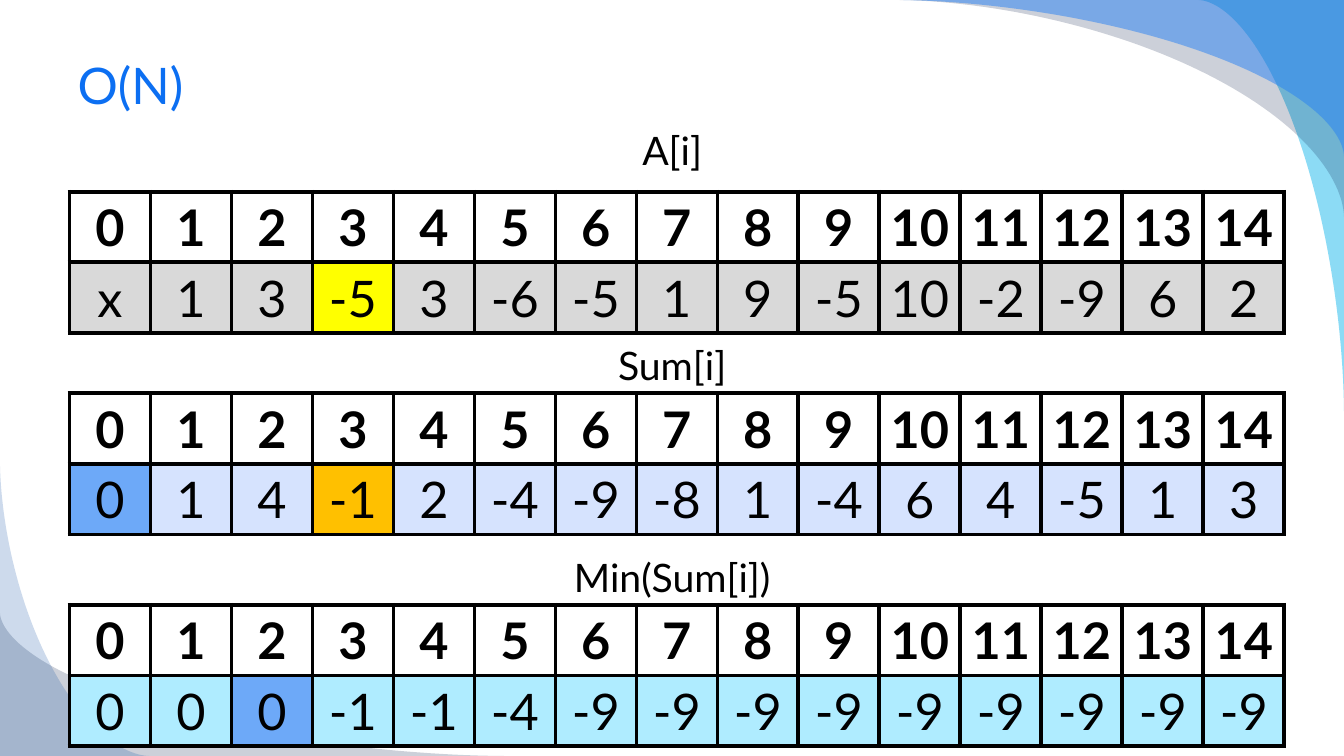
from dataclasses import dataclass
from itertools import accumulate
from math import cos, pi, sin

from lxml import etree
from pptx import Presentation
from pptx.dml.color import RGBColor
from pptx.enum.text import MSO_ANCHOR, MSO_AUTO_SIZE, PP_ALIGN
from pptx.oxml.ns import qn
from pptx.util import Cm, Pt

TOP, MIDDLE = MSO_ANCHOR.TOP, MSO_ANCHOR.MIDDLE
LEFT, CENTER = PP_ALIGN.LEFT, PP_ALIGN.CENTER
NO_FIT = MSO_AUTO_SIZE.NONE


@dataclass(frozen=True)
class Theme:
    font: str = "Lato"
    title_size: int = 36
    caption_size: int = 28
    cell_size: int = 36
    border: int = 3
    title: str = "0C6FF2"
    ink: str = "000000"
    paper: str = "FFFFFF"
    grey: str = "D9D9D9"
    lavender: str = "D6E3FE"
    aqua: str = "AFECFF"
    yellow: str = "FFFF00"
    orange: str = "FFC000"
    blue: str = "6DA9F8"
    navy: str = "021741"
    cyan: str = "00B1E9"
    bright: str = "247FF4"
    deep: str = "084AA1"


THEME = Theme()
WIDTH, HEIGHT = 33.87, 19.05
MARGIN, TEXT_WIDTH = 1.7, 30.48
CAPTION_HEIGHT = 1.42
TABLE_LEFT, TABLE_WIDTH, ROW_HEIGHT = 1.75, 30.63, 1.78
CURVE_POWER, CURVE_STEPS = 1.77, 60

VALUES = [1, 3, -5, 3, -6, -5, 1, 9, -5, 10, -2, -9, 6, 2]
SUMS = list(accumulate(VALUES, initial=0))
MINIMA = list(accumulate(SUMS, min))

PANELS = [
    ("A[i]", 3.05, 4.83, ["x", *VALUES], THEME.grey, {3: THEME.yellow}),
    ("Sum[i]", 8.48, 9.91, SUMS, THEME.lavender, {0: THEME.blue, 3: THEME.orange}),
    ("Min(Sum[i])", 13.82, 15.24, MINIMA, THEME.aqua, {2: THEME.blue}),
]

SWOOSHES = [
    ((WIDTH, 10.36), (WIDTH, 0), (30.2, 0), THEME.cyan, 45),
    ((22.58, 0), (WIDTH, 0), (WIDTH, 5.46), THEME.navy, 20),
    ((22.58, 0), (WIDTH, 0), (WIDTH, 3.94), THEME.bright, 49),
    ((12.7, HEIGHT), (0, HEIGHT), (0, 15.44), THEME.navy, 20),
    ((0, 11.63), (0, HEIGHT), (3.76, HEIGHT), THEME.deep, 20),
]


def apply(target, formats):
    for name, value in formats.items():
        setattr(target, name, value)


def place(shape, box):
    names = ("left", "top", "width", "height")
    apply(shape, {name: Cm(length) for name, length in zip(names, box)})


def write(frame, text, size, color, align, bold=False):
    para = frame.paragraphs[0]
    apply(para, {"alignment": align, "space_before": Pt(0)})
    span = para.add_run()
    span.text = text
    apply(span.font, {"name": THEME.font, "size": Pt(size), "bold": bold})
    span.font.color.rgb = RGBColor.from_string(color)
    return para


def add_swoosh(page, start, corner, end, color, opacity):
    def curve_point(angle):
        along = sin(angle) ** (2 / CURVE_POWER)
        across = 1 - max(cos(angle), 0) ** (2 / CURVE_POWER)
        return tuple(
            Cm(s + along * (c - s) + across * (e - c))
            for s, c, e in zip(start, corner, end)
        )

    steps = range(CURVE_STEPS, 0, -1)
    curve = [curve_point(pi / 2 * step / CURVE_STEPS) for step in steps]
    builder = page.shapes.build_freeform(Cm(start[0]), Cm(start[1]))
    builder.add_line_segments([tuple(map(Cm, corner)), *curve], close=True)
    shape = builder.convert_to_shape()
    shape.shadow.inherit = False
    shape.line.fill.background()
    shape.fill.solid()
    shape.fill.fore_color.rgb = RGBColor.from_string(color)
    tint = shape.element.spPr.find(qn("a:solidFill")).find(qn("a:srgbClr"))
    etree.SubElement(tint, qn("a:alpha"), val=str(opacity * 1000))


def fill_title(title, box):
    place(title, box)
    apply(title.text_frame, {"vertical_anchor": MIDDLE, "auto_size": NO_FIT})
    write(title.text_frame, "O(N)", THEME.title_size, THEME.title, LEFT)


def fill_caption(shape, text, box):
    place(shape, box)
    frame = shape.text_frame
    apply(frame, {"word_wrap": True, "vertical_anchor": TOP, "auto_size": NO_FIT})
    para = write(frame, text, THEME.caption_size, THEME.ink, CENTER)
    properties = para._p.get_or_add_pPr()
    properties.set("marL", "0")
    properties.set("indent", "0")
    etree.SubElement(properties, qn("a:buNone"))


def add_borders(cell):
    properties = cell._tc.get_or_add_tcPr()
    for position, side in enumerate(("lnL", "lnR", "lnT", "lnB")):
        line = etree.Element(qn(f"a:{side}"), w=str(Pt(THEME.border)))
        fill = etree.SubElement(line, qn("a:solidFill"))
        etree.SubElement(fill, qn("a:srgbClr"), val=THEME.ink)
        properties.insert(position, line)


def fill_cell(cell, text, color, bold):
    cell.vertical_anchor = MIDDLE
    cell.fill.solid()
    cell.fill.fore_color.rgb = RGBColor.from_string(color)
    write(cell.text_frame, text, THEME.cell_size, THEME.ink, CENTER, bold)
    add_borders(cell)


def add_array(page, values, color, marks, box):
    frame = page.shapes.add_table(2, len(values), *map(Cm, box))
    table = frame.table
    apply(table, {"first_row": False, "horz_banding": False})
    for column in table.columns:
        column.width = Cm(box[2] / len(values))
    for row in table.rows:
        row.height = Cm(box[3] / 2)
    for index, value in enumerate(values):
        fill_cell(table.cell(0, index), str(index), THEME.paper, True)
        fill_cell(table.cell(1, index), str(value), marks.get(index, color), False)


def build_array_slide(deck):
    page = deck.slides.add_slide(deck.slide_layouts[1])
    for swoosh in SWOOSHES:
        add_swoosh(page, *swoosh)
    fill_title(page.shapes.title, (MARGIN, 0.84, TEXT_WIDTH, 2.57))
    for number, (name, caption_top, table_top, values, color, marks) in enumerate(PANELS):
        caption_box = (MARGIN, caption_top, TEXT_WIDTH, CAPTION_HEIGHT)
        if number == 0:
            caption = page.placeholders[1]
        else:
            caption = page.shapes.add_textbox(*map(Cm, caption_box))
        fill_caption(caption, name, caption_box)
        table_box = (TABLE_LEFT, table_top, TABLE_WIDTH, 2 * ROW_HEIGHT)
        add_array(page, values, color, marks, table_box)


def main():
    deck = Presentation()
    apply(deck, {"slide_width": Cm(WIDTH), "slide_height": Cm(HEIGHT)})
    build_array_slide(deck)
    deck.save("out.pptx")


if __name__ == "__main__":
    main()
